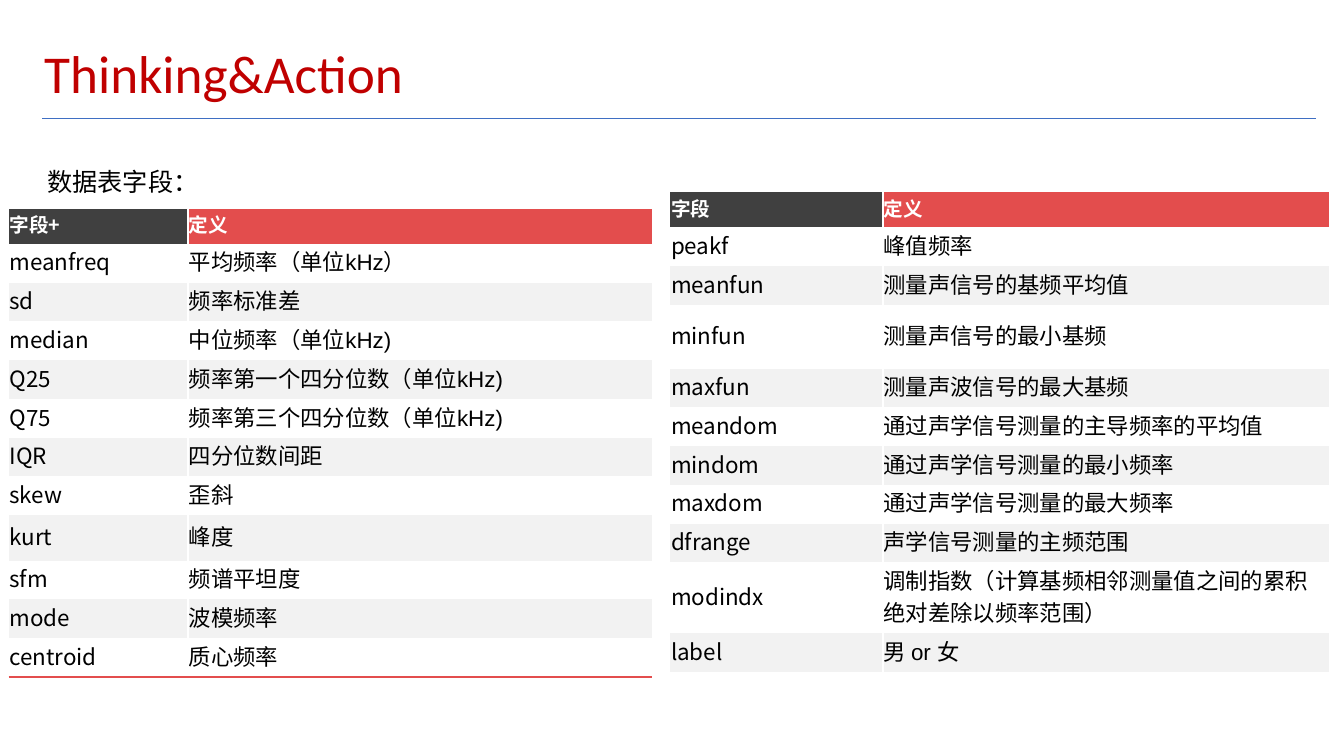
import dataclasses

import lxml.etree
import pptx
import pptx.dml.color
import pptx.enum.shapes
import pptx.enum.text
import pptx.oxml.ns
import pptx.util

Pt = pptx.util.Pt
qn = pptx.oxml.ns.qn
Anchor = pptx.enum.text.MSO_ANCHOR


@dataclasses.dataclass(frozen=True)
class Theme:
    title: str = "C00000"
    rule: str = "3F6FC3"
    ink: str = "000000"
    white: str = "FFFFFF"
    dark: str = "404040"
    red: str = "E34D4D"
    band: str = "F2F2F2"
    head_face: str = "Calibri"
    han_face: str = "Noto Sans CJK SC"
    text_face: str = "Arial"
    title_size: int = 38
    lead_size: int = 18
    head_size: int = 14
    cell_size: int = 16


THEME = Theme()
NO_GRID = "{2D5ABB26-0587-4C30-8999-92F81FD0307C}"
HEAD_STEP, ROW_STEP = 25, 27.7

LEFT = [
    ("字段+", "定义"),
    ("meanfreq", "平均频率（单位kHz）"),
    ("sd", "频率标准差"),
    ("median", "中位频率（单位kHz)"),
    ("Q25", "频率第一个四分位数（单位kHz)"),
    ("Q75", "频率第三个四分位数（单位kHz)"),
    ("IQR", "四分位数间距"),
    ("skew", "歪斜"),
    ("kurt", "峰度"),
    ("sfm", "频谱平坦度"),
    ("mode", "波模频率"),
    ("centroid", "质心频率"),
]
RIGHT = [
    ("字段", "定义"),
    ("peakf", "峰值频率"),
    ("meanfun", "测量声信号的基频平均值"),
    ("minfun", "测量声信号的最小基频"),
    ("maxfun", "测量声波信号的最大基频"),
    ("meandom", "通过声学信号测量的主导频率的平均值"),
    ("mindom", "通过声学信号测量的最小频率"),
    ("maxdom", "通过声学信号测量的最大频率"),
    ("dfrange", "声学信号测量的主频范围"),
    ("modindx", "调制指数（计算基频相邻测量值之间的累积绝对差除以频率范围）"),
    ("label", "男 or 女"),
]


def paint(fill, color):
    fill.solid()
    fill.fore_color.rgb = pptx.dml.color.RGBColor.from_string(color)


def write(para, text, face, size, color, bold=False):
    run = para.add_run()
    run.text = text
    run.font.size = Pt(size)
    run.font.bold = bold
    paint(run.font.fill, color)
    run.font.name = face
    east = lxml.etree.SubElement(run.font._element, qn("a:ea"))
    east.set("typeface", THEME.han_face)


def add_text(slide, box, text, size, color, space, anchor):
    frame = slide.shapes.add_textbox(*map(Pt, box)).text_frame
    frame.word_wrap = True
    frame.vertical_anchor = anchor
    frame.margin_left = frame.margin_right = Pt(3.6)
    frame.margin_top = frame.margin_bottom = Pt(3.6)
    para = frame.paragraphs[0]
    para.line_spacing = space
    write(para, text, THEME.head_face, size, color)


def add_rule(slide, left, right, top):
    line = slide.shapes.add_connector(
        pptx.enum.shapes.MSO_CONNECTOR.STRAIGHT,
        Pt(left), Pt(top), Pt(right), Pt(top))
    line.line.width = Pt(0.75)
    paint(line.line.fill, THEME.rule)
    lxml.etree.SubElement(line._element.spPr, qn("a:effectLst"))


def edge(cell, sides):
    """Draw cell borders; sides maps L, R, T, B, in that order, to colours."""
    props = cell._tc.get_or_add_tcPr()
    for spot, (side, color) in enumerate(sides.items()):
        line = lxml.etree.Element(qn("a:ln" + side), w=str(Pt(1.5)))
        fill = lxml.etree.SubElement(line, qn("a:solidFill"))
        lxml.etree.SubElement(fill, qn("a:srgbClr"), val=color)
        props.insert(spot, line)


def fill_cell(cell, text, row, col, last):
    head = row == 0
    cell.margin_left = cell.margin_right = cell.margin_top = Pt(0.72)
    cell.margin_bottom = Pt(3.6)
    cell.vertical_anchor = Anchor.TOP if head else Anchor.MIDDLE
    para = cell.text_frame.paragraphs[0]
    if head:
        paint(cell.fill, (THEME.dark, THEME.red)[col])
        write(para, text, THEME.han_face, THEME.head_size, THEME.white, True)
    else:
        paint(cell.fill, THEME.white if row % 2 else THEME.band)
        face = (THEME.han_face, THEME.text_face)[col]
        write(para, text, face, THEME.cell_size, THEME.ink)
    sides = {"RL"[col]: THEME.white}
    if last:
        sides["B"] = THEME.red
    edge(cell, sides)


def add_fields(slide, spot, widths, rows, tall, close=False):
    """Table of field names; tall maps rows to odd heights, close rules it off."""
    steps = [HEAD_STEP] + [ROW_STEP] * (len(rows) - 1)
    for row, step in tall.items():
        steps[row] = step
    box = (*spot, sum(widths), sum(steps))
    table = slide.shapes.add_table(len(rows), 2, *map(Pt, box)).table
    table.horz_banding = table.first_row = False
    table._tbl.tblPr.find(qn("a:tableStyleId")).text = NO_GRID
    for column, width in zip(table.columns, widths):
        column.width = Pt(width)
    for row, texts in enumerate(rows):
        table.rows[row].height = Pt(steps[row])
        for col, text in enumerate(texts):
            last = close and row == len(rows) - 1
            fill_cell(table.cell(row, col), text, row, col, last)


def main():
    deck = pptx.Presentation()
    deck.slide_width, deck.slide_height = Pt(960), Pt(540)
    slide = deck.slides.add_slide(deck.slide_layouts[6])
    add_rule(slide, 30.2, 940.3, 84.5)
    add_text(slide, (28, 28.8, 801.4, 51), "Thinking&Action",
             THEME.title_size, THEME.title, 0.9, Anchor.MIDDLE)
    add_text(slide, (30.2, 104.4, 487.4, 331.2), "数据表字段：",
             THEME.lead_size, THEME.ink, 1.5, Anchor.TOP)
    add_fields(slide, (478.6, 137.3), (151.9, 319), RIGHT, {3: 45.6, 9: 50.6})
    add_fields(slide, (6.1, 149.2), (128.2, 331.2), LEFT, {8: 32.5}, close=True)
    deck.save("out.pptx")


if __name__ == "__main__":
    main()
